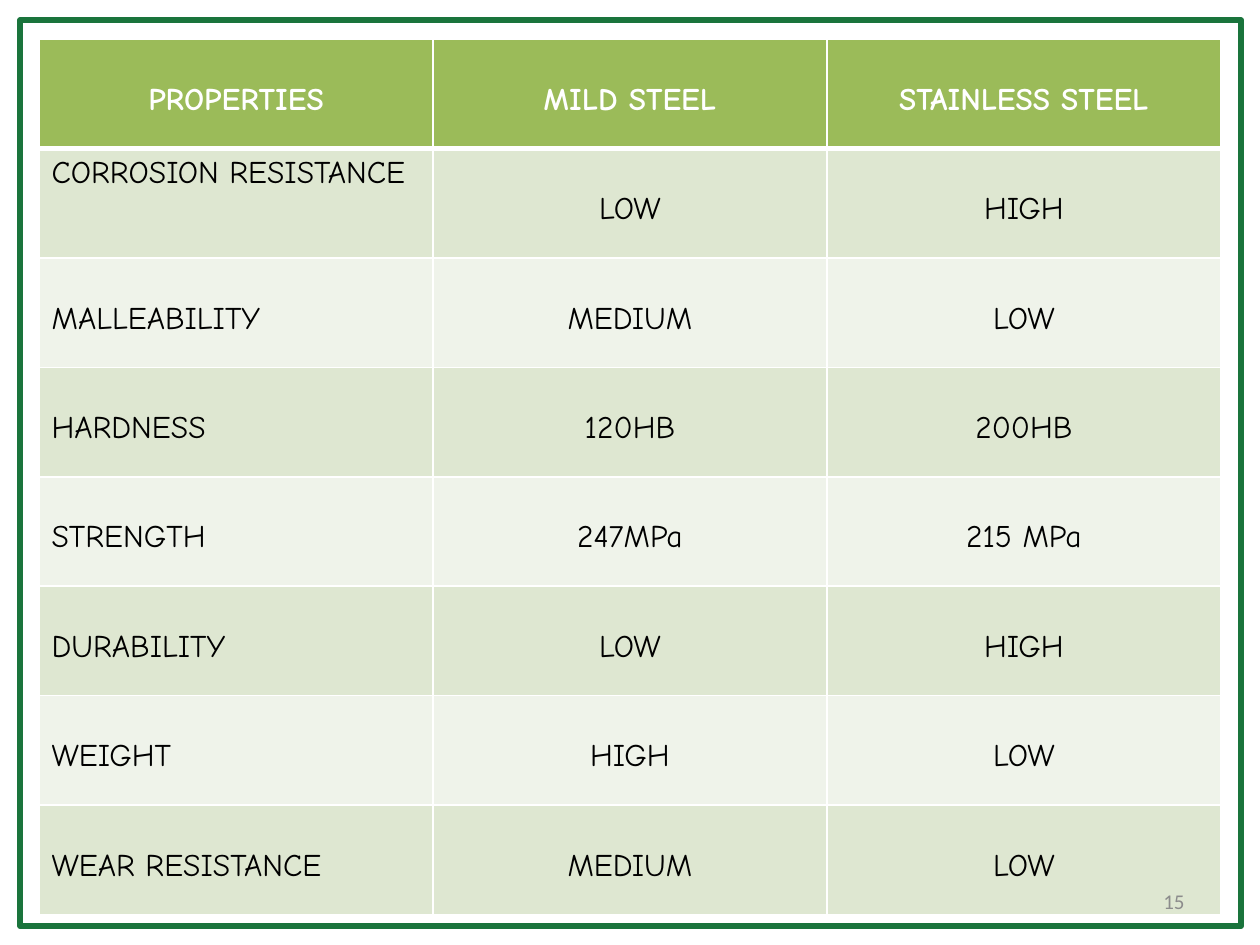
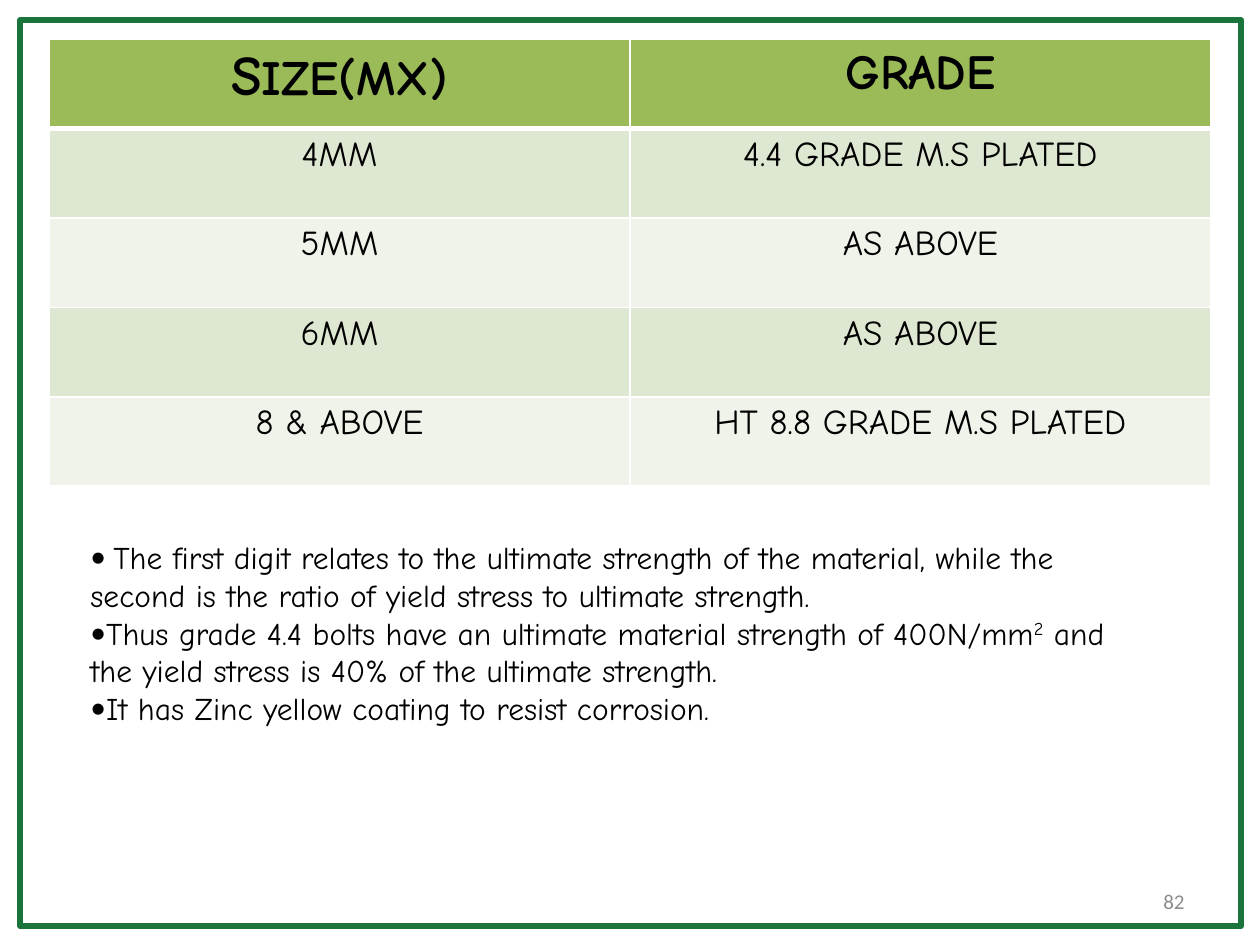
"""Build two slides comparing steel properties and bolt grades."""
from pptx import Presentation
from pptx import util as u
from pptx.dml.color import RGBColor
from pptx.enum import shapes, text
from pptx.oxml import xmlchemy as xc

COLORS = {
    "frame": "1A743C", "header": "9BBB59", "odd": "DEE7D1", "even": "EFF3EA",
    "white": "FFFFFF", "ink": "000000", "number": "8C8C8C",
}
BODY_FONT, PLAIN_FONT = "Comic Neue", "Calibri"
LEFT, CENTER, RIGHT = text.PP_ALIGN.LEFT, text.PP_ALIGN.CENTER, text.PP_ALIGN.RIGHT
LINE_GAP = 0.29

PROPERTIES = [
    ["PROPERTIES", "MILD STEEL", "STAINLESS STEEL"],
    ["CORROSION RESISTANCE", "LOW", "HIGH"],
    ["MALLEABILITY", "MEDIUM", "LOW"],
    ["HARDNESS", "120HB", "200HB"],
    ["STRENGTH", "247MPa", "215 MPa"],
    ["DURABILITY", "LOW", "HIGH"],
    ["WEIGHT", "HIGH", "LOW"],
    ["WEAR RESISTANCE", "MEDIUM", "LOW"],
]
GRADES = [
    ["SIZE(MX)", "GRADE"],
    ["4MM", "4.4 GRADE M.S PLATED"],
    ["5MM", "AS ABOVE"],
    ["6MM", "AS ABOVE"],
    ["8 & ABOVE", "HT 8.8 GRADE M.S PLATED"],
]
NOTES = [
    [(" ", {"font": PLAIN_FONT}),
     ("The first digit relates to the ultimate strength of the material, while the "
      "second is the ratio of yield stress to ultimate strength.", {})],
    [("Thus grade 4.4 bolts have an ultimate material strength of 400N/mm", {}),
     ("2", {"raised": True}),
     (" and the yield stress is 40% of the ultimate strength.", {})],
    [("It has Zinc yellow coating to resist corrosion.", {})],
]


def rgb(name):
    """Return the named colour."""
    return RGBColor.from_string(COLORS[name])


def write(paragraph, words, size=18, color="ink", bold=False, font=BODY_FONT,
          align=LEFT, raised=False):
    """Add a formatted run to a paragraph."""
    paragraph.alignment = align
    run = paragraph.add_run()
    run.text = words
    run.font.size = u.Pt(size)
    run.font.name = font
    run.font.bold = bold
    run.font.color.rgb = rgb(color)
    if raised:
        run.font._element.set("baseline", "30000")
    return run


def add_child(parent, tag, **attributes):
    """Append a DrawingML element and return it."""
    child = parent.makeelement(xc.qn(tag), attributes)
    parent.append(child)
    return child


class Deck:
    """Hold the shared style and the current slide."""

    def __init__(self):
        """Start an empty 4:3 presentation."""
        self.show = Presentation()
        self.show.slide_width, self.show.slide_height = u.Inches(10), u.Inches(7.5)
        self.slide = None

    def new_slide(self):
        """Add a blank slide with the green frame."""
        self.slide = self.show.slides.add_slide(self.show.slide_layouts[6])
        frame = self.slide.shapes.add_shape(
            shapes.MSO_SHAPE.RECTANGLE, *map(u.Inches, (0.16, 0.16, 9.69, 7.19)))
        frame.shadow.inherit = False
        frame.fill.background()
        frame.line.color.rgb = rgb("frame")
        frame.line.width = u.Pt(3.5)

    def text_box(self, left, top, width, height):
        """Add a wrapping text box and return its text frame."""
        box = self.slide.shapes.add_textbox(*map(u.Inches, (left, top, width, height)))
        box.text_frame.word_wrap = True
        return box.text_frame

    def page_number(self, number):
        """Add the grey slide number."""
        footer = self.text_box(7.17, 6.95, 2.33, 0.4)
        footer.vertical_anchor = text.MSO_ANCHOR.MIDDLE
        write(footer.paragraphs[0], number, size=12, color="number",
              font=PLAIN_FONT, align=RIGHT)

    def table(self, rows, left, top, width, height, fill_cell):
        """Add a banded table whose cell text is written by fill_cell."""
        grid = self.slide.shapes.add_table(
            len(rows), len(rows[0]), *map(u.Inches, (left, top, width, height))).table
        grid.horz_banding = False
        for column in grid.columns:
            column.width = u.Inches(width / len(rows[0]))
        for r, entries in enumerate(rows):
            grid.rows[r].height = u.Inches(height / len(rows))
            band = "header" if r == 0 else "odd" if r % 2 else "even"
            for c, entry in enumerate(entries):
                cell = grid.cell(r, c)
                cell.fill.solid()
                cell.fill.fore_color.rgb = rgb(band)
                self.borders(cell, top=3 if r == 1 else 1, bottom=3 if r == 0 else 1)
                fill_cell(cell, entry, r, c)

    def borders(self, cell, top, bottom):
        """Draw white borders around a cell."""
        properties = cell._tc.get_or_add_tcPr()
        sides = {"a:lnL": 1, "a:lnR": 1, "a:lnT": top, "a:lnB": bottom}
        for place, (tag, points) in enumerate(sides.items()):
            edge = add_child(properties, tag, w=str(u.Pt(points)))
            add_child(add_child(edge, "a:solidFill"), "a:srgbClr", val=COLORS["white"])
            properties.insert(place, edge)

    def bullets(self, items, left, top, width, height):
        """Add a bulleted list made of runs."""
        frame = self.text_box(left, top, width, height)
        for i, runs in enumerate(items):
            paragraph = frame.add_paragraph() if i else frame.paragraphs[0]
            properties = paragraph._p.get_or_add_pPr()
            add_child(properties, "a:buFont", typeface=PLAIN_FONT)
            add_child(properties, "a:buChar", char="•")
            for words, style in runs:
                write(paragraph, words, **style)


def property_cell(cell, entry, row, column):
    """Write one cell of the steel comparison, one line below the cell top."""
    if (row, column) != (1, 0):
        cell.margin_top = u.Inches(0.05 + LINE_GAP)
    header = row == 0
    write(cell.text_frame.paragraphs[0], entry, bold=header,
          color="white" if header else "ink",
          align=CENTER if header or column else LEFT)


def grade_cell(cell, entry, row, column):
    """Write one cell of the bolt grades, with a larger first initial."""
    paragraph = cell.text_frame.paragraphs[0]
    if (row, column) == (0, 0):
        write(paragraph, entry[0], size=32, bold=True, align=CENTER)
        entry = entry[1:]
    write(paragraph, entry, size=20 if row else 28, bold=row == 0, align=CENTER)


def main():
    """Build both slides and save them."""
    deck = Deck()
    deck.new_slide()
    deck.table(PROPERTIES, 0.31, 0.31, 9.38, 6.95, property_cell)
    deck.page_number("15")

    deck.new_slide()
    deck.page_number("82")
    deck.table(GRADES, 0.39, 0.31, 9.22, 3.55, grade_cell)
    deck.bullets(NOTES, 0.62, 4.22, 8.36, 1.62)
    deck.show.save("out.pptx")


if __name__ == "__main__":
    main()
